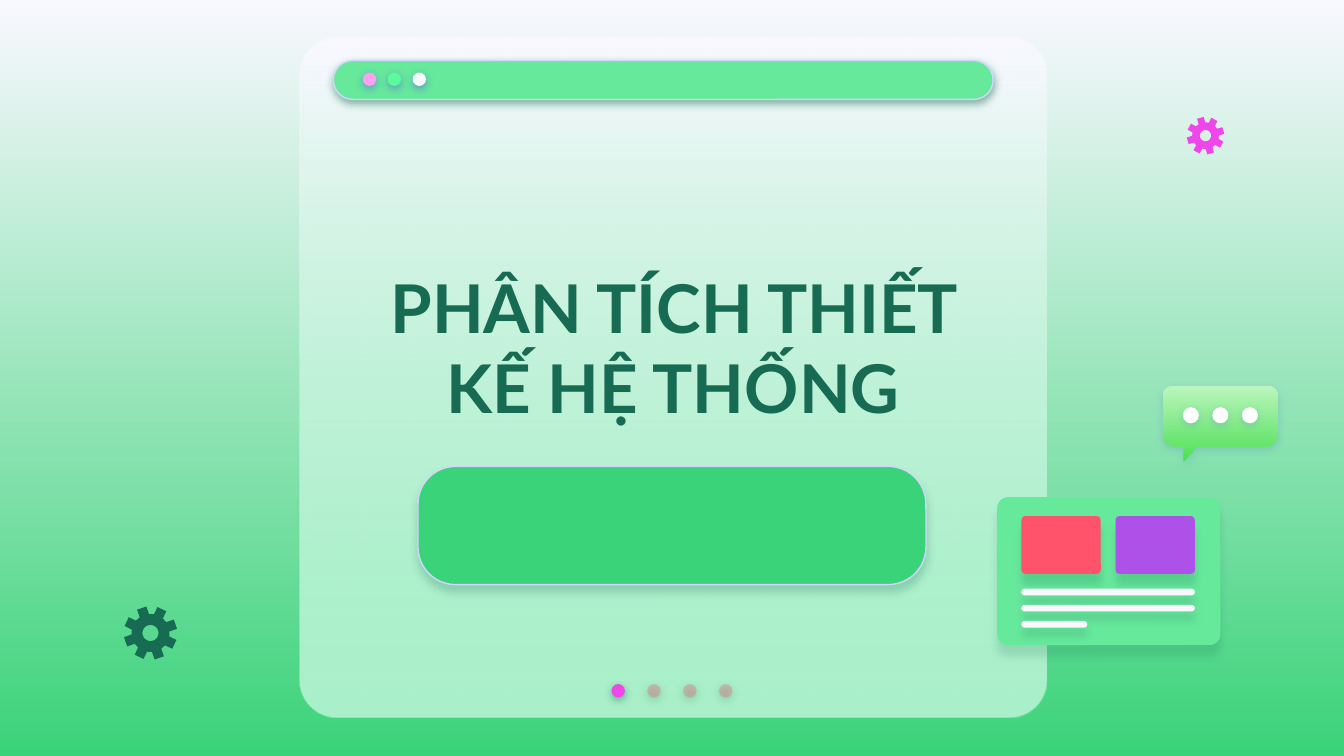
from math import cos, sin, radians
from lxml import etree
from pptx import Presentation
from pptx.dml.color import RGBColor
from pptx.enum.shapes import MSO_SHAPE as SHAPE
from pptx.enum.text import MSO_ANCHOR, MSO_AUTO_SIZE, PP_ALIGN
from pptx.oxml.ns import qn
from pptx.util import Inches, Pt

# Content
TITLE = "PHÂN TÍCH THIẾT KẾ HỆ THỐNG"
THEME = {
    "font": "Lato", "title_size": 36,
    "pale": "F9F8FF", "green": "3BD379", "mint": "67E99C", "dark": "176B53",
    "pink": "EE46E8", "rose": "FDA0ED", "lime": "5CFA9F", "idle": "E27B83",
    "red": "FF536C", "violet": "AD51E9", "white": "FFFFFF", "border": "D2D6FF",
    "bubble_top": "BBF6BE", "bubble_end": "4EE056", "indigo": "5352EE",
}
# Shadows: colour, opacity %, distance in points (blur is always 4.5 pt)
BAR_SHADOW = ("dark", 50, 1.5)
DOT_SHADOW = ("indigo", 50, 1.5)
BUTTON_SHADOW = ("dark", 24, 3.8)
CARD_SHADOW = ("dark", 17, 6)
TILE_SHADOW = ("dark", 20, 6)
LINE_SHADOW = ("dark", 21, 4.5)
BUBBLE_SHADOW = ("indigo", 18, 1.5)

WINDOW_DOTS = ["rose", "lime", "pale"]
PAGER_DOTS = [("pink", 100), ("idle", 44), ("idle", 44), ("idle", 44)]
CARD_TILES = ["red", "violet"]
CARD_LINES = [1.29, 1.29, 0.49]
# Gears: centre x, centre y, outer radius, turn in degrees, colour
GEARS = [(1.12, 4.71, 0.2, -19.5, "dark"), (8.97, 1.01, 0.14, -16, "pink")]
TEETH = 8


def rgb(name):
    return RGBColor.from_string(THEME[name])


def set_alpha(color_el, percent):
    etree.SubElement(color_el, qn("a:alpha"), val=str(percent * 1000))


def set_gradient(fill, top, bottom):
    fill.gradient()
    fill.gradient_angle = 270
    for stop, name, position in zip(fill.gradient_stops, (top, bottom), (0, 1)):
        stop.color.rgb = rgb(name)
        stop.position = position


def add_shadow(s, shadow):
    name, opacity, distance = shadow
    effects = s.element.spPr.find(qn("a:effectLst"))
    outer = etree.SubElement(
        effects, qn("a:outerShdw"), blurRad=str(Pt(4.5)), dist=str(Pt(distance)),
        dir="5400000", algn="bl", rotWithShape="0")
    set_alpha(etree.SubElement(outer, qn("a:srgbClr"), val=THEME[name]), opacity)


def style(s, fill, shadow=None, line=None, alpha=100):
    s.shadow.inherit = False
    if isinstance(fill, tuple):
        set_gradient(s.fill, *fill)
    else:
        s.fill.solid()
        s.fill.fore_color.rgb = rgb(fill)
    if alpha < 100:
        # The last colour carries the transparency
        set_alpha(list(s.element.spPr.iter(qn("a:srgbClr")))[-1], alpha)
    if line:
        s.line.color.rgb = rgb(line)
        s.line.width = Pt(0.75)
    else:
        s.line.fill.background()
    if shadow:
        add_shadow(s, shadow)
    return s


def add_box(x, y, w, h, radius, fill, **look):
    s = shapes.add_shape(SHAPE.ROUNDED_RECTANGLE, *map(Inches, (x, y, w, h)))
    s.adjustments[0] = radius / min(w, h)
    return style(s, fill, **look)


def add_dot(x, y, size, fill, **look):
    s = shapes.add_shape(SHAPE.OVAL, *map(Inches, (x, y, size, size)))
    return style(s, fill, **look)


def arc(cx, cy, r, start, end, steps):
    angles = [radians(start + (end - start) * i / steps) for i in range(steps + 1)]
    return [(cx + r * cos(a), cy + r * sin(a)) for a in angles]


def add_outline(contours, fill, **look):
    contours = [[(Inches(x), Inches(y)) for x, y in c] for c in contours]
    builder = shapes.build_freeform(*contours[0][0], scale=1.0)
    for i, points in enumerate(contours):
        if i:
            builder.move_to(*points[0])
        builder.add_line_segments(points[1:], close=True)
    return style(builder.convert_to_shape(), fill, **look)


def add_gear(cx, cy, r, turn, color):
    rim = []
    for tooth in range(TEETH):
        mid = turn + tooth * 360 / TEETH
        for offset, reach in ((-15, 0.71), (-10.5, 1), (10.5, 1), (15, 0.71)):
            rim += arc(cx, cy, r * reach, mid + offset, mid + offset, 1)[:1]
    hole = arc(cx, cy, r * 0.3, 360, 0, 36)
    add_outline([rim, hole], color)


def add_bubble(x, y, w, h, r):
    right, bottom = x + w, y + h
    tail = [(x + 0.26, bottom), (x + 0.16, bottom + 0.11), (x + 0.16, bottom)]
    outline = (arc(right - r, y + r, r, -90, 0, 10)
               + arc(right - r, bottom - r, r, 0, 90, 10) + tail
               + arc(x + r, bottom - r, r, 90, 180, 10)
               + arc(x + r, y + r, r, 180, 270, 10))
    add_outline([outline], ("bubble_top", "bubble_end"), shadow=BUBBLE_SHADOW)
    for i in range(3):
        add_dot(x + 0.15 + i * 0.22, y + 0.16, 0.12, "white", shadow=BUBBLE_SHADOW)


def add_card(x, y):
    add_box(x, y, 1.66, 1.1, 0.08, "mint", shadow=CARD_SHADOW)
    left = x + 0.18
    for i, color in enumerate(CARD_TILES):
        add_box(left + i * 0.7, y + 0.14, 0.59, 0.43, 0.03, color, shadow=TILE_SHADOW)
    for i, width in enumerate(CARD_LINES):
        add_box(left, y + 0.68 + i * 0.12, width, 0.05, 0.025, "pale", shadow=LINE_SHADOW)


# Slide (16:9) and background
prs = Presentation()
prs.slide_width, prs.slide_height = Inches(10), Inches(10 * 9 / 16)
slide = prs.slides.add_slide(prs.slide_layouts[5])
shapes = slide.shapes
set_gradient(slide.background.fill, "pale", "green")

# Window panel: opaque base under a fading tint
panel = (2.23, 0.28, 5.56, 5.06, 0.28)
add_box(*panel, "pale")
add_box(*panel, ("pale", "mint"), alpha=54)

# Pager dots
for i, (color, alpha) in enumerate(PAGER_DOTS):
    add_dot(4.55 + i * 0.8 / 3, 5.09, 0.1, color, shadow=BAR_SHADOW, alpha=alpha)

# Window bar
add_box(2.48, 0.45, 4.91, 0.29, 0.145, "mint", shadow=BAR_SHADOW, line="border")
for i, color in enumerate(WINDOW_DOTS):
    add_dot(2.7 + i * 0.37 / 2, 0.54, 0.1, color, shadow=DOT_SHADOW)

# Button
add_box(3.11, 3.47, 3.78, 0.88, 0.28, "green", shadow=BUTTON_SHADOW, line="border")

# Title, brought in front of the panel
title = shapes.title
title.element.getparent().append(title.element)
title.left, title.top, title.width, title.height = map(Inches, (2.71, 1.67, 4.6, 1.82))
tf = title.text_frame
tf.text = TITLE
tf.word_wrap = True
tf.auto_size = MSO_AUTO_SIZE.NONE
tf.vertical_anchor = MSO_ANCHOR.MIDDLE
tf.margin_left = tf.margin_right = tf.margin_top = tf.margin_bottom = Inches(0.1)
p = tf.paragraphs[0]
p.alignment = PP_ALIGN.CENTER
p.font.name = THEME["font"]
p.font.size = Pt(THEME["title_size"])
p.font.bold = True
p.font.color.rgb = rgb("dark")

# Decorations
add_card(7.42, 3.7)
add_bubble(8.65, 2.87, 0.86, 0.45, 0.08)
for gear in GEARS:
    add_gear(*gear)

prs.save("out.pptx")
